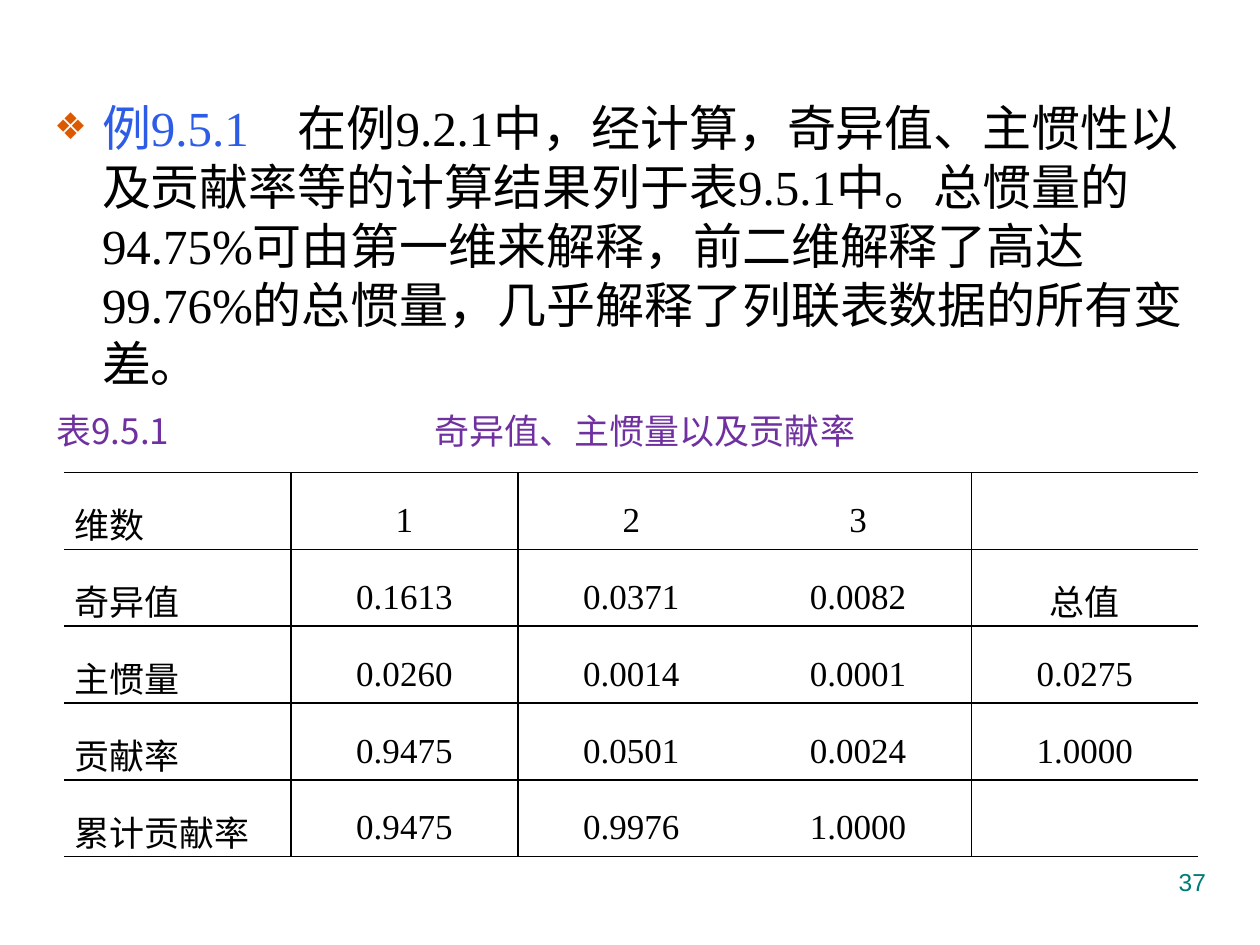
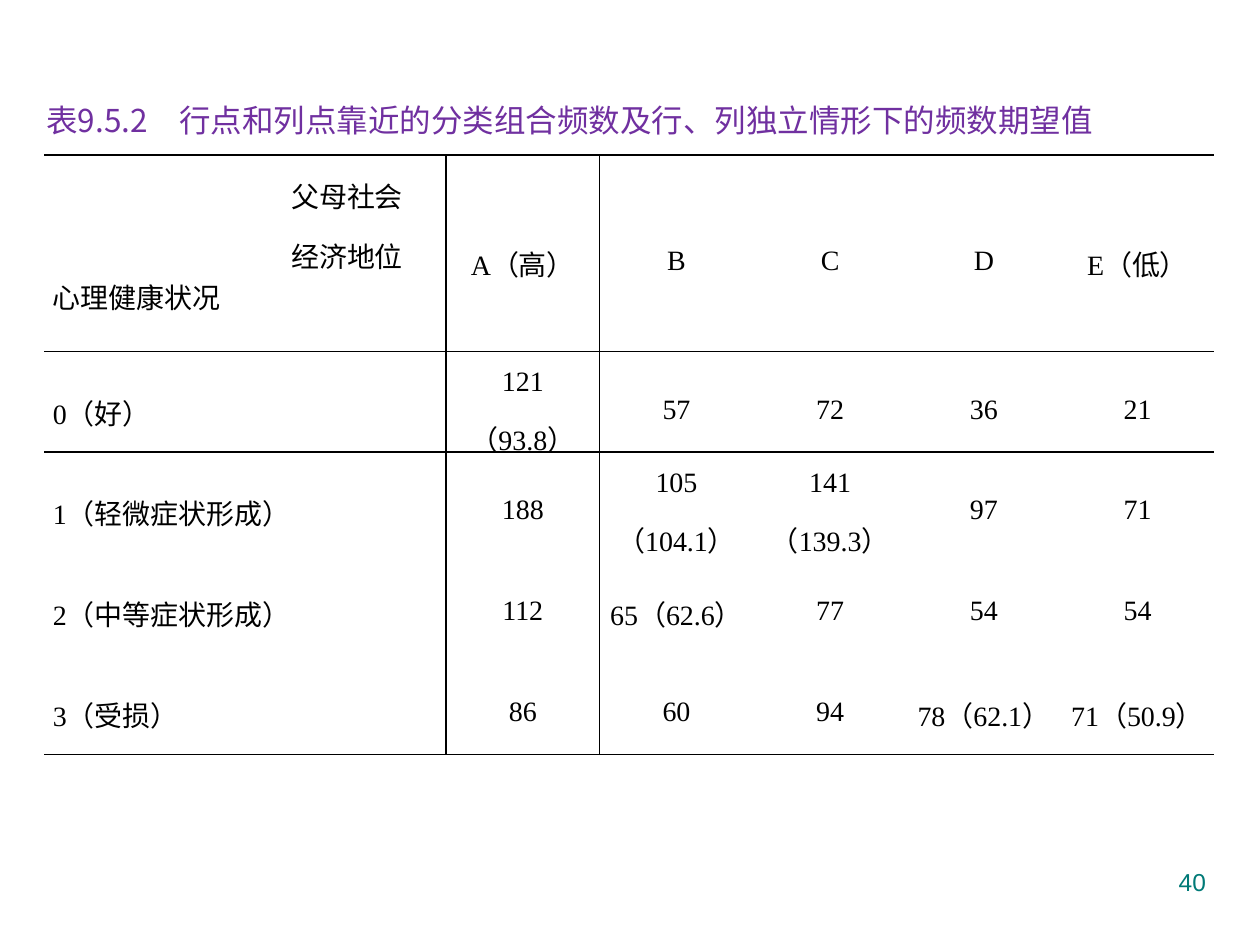
from lxml.etree import SubElement
from pptx import Presentation
from pptx.dml.color import RGBColor
from pptx.enum.text import MSO_ANCHOR, MSO_AUTO_SIZE, PP_ALIGN
from pptx.oxml import parse_xml
from pptx.oxml.ns import nsdecls, qn
from pptx.util import Inches, Pt

BLACK, BLUE, PURPLE, TEAL, ORANGE = "000000", "2D5CE7", "7030A0", "007A77", "DC5900"
SERIF, CJK, SANS = "Times New Roman", "Noto Sans CJK SC", "Arial"
NO_STYLE = "{2D5ABB26-0587-4C30-8999-92F81FD0307C}"


def write(p, text, size, font=SERIF, color=BLACK, align=None, spacing=None):
    r = p.add_run()
    r.text = text
    r.font.size = Pt(size)
    r.font.name = font
    r.font.color.rgb = RGBColor.from_string(color)
    SubElement(r.font._element, qn("a:ea")).set("typeface", CJK)
    if align is not None:
        p.alignment = align
    if spacing is not None:
        p.line_spacing = spacing


def add_grid(slide, x, y, widths, row_height, rows, size, inset, h_lines, v_lines, merges=()):
    """Add a table ruled at the given row and column boundaries; merges are corner pairs."""
    frame = slide.shapes.add_table(len(rows), len(widths), Inches(x), Inches(y),
                                   Inches(sum(widths)), Inches(row_height * len(rows)))
    table = frame.table
    table.first_row = table.horz_banding = False
    table._tbl.tblPr.find(qn("a:tableStyleId")).text = NO_STYLE
    for column, width in zip(table.columns, widths):
        column.width = Inches(width)
    for row in table.rows:
        row.height = Inches(row_height)
    for first, last in merges:
        table.cell(*first).merge(table.cell(*last))
    for i, values in enumerate(rows):
        for j, value in enumerate(values):
            cell = table.cell(i, j)
            cell.margin_left = cell.margin_right = Inches(inset)
            cell.margin_top = cell.margin_bottom = 0
            cell.vertical_anchor = MSO_ANCHOR.MIDDLE
            cell.fill.background()
            sides = {"L": j in v_lines, "R": j + cell.span_width in v_lines,
                     "T": i in h_lines, "B": i + cell.span_height in h_lines}
            ruled = [side for side in sides if sides[side]]
            for k, side in enumerate(ruled):
                cell._tc.get_or_add_tcPr().insert(k, parse_xml(
                    f'<a:ln{side} {nsdecls("a")} w="12700"><a:solidFill>'
                    f'<a:srgbClr val="{BLACK}"/></a:solidFill></a:ln{side}>'))
            if not value:
                continue
            align = PP_ALIGN.CENTER if j else PP_ALIGN.JUSTIFY
            for k, line in enumerate(value.split("\n")):
                p = cell.text_frame.add_paragraph() if k else cell.text_frame.paragraphs[0]
                write(p, line, size, align=align, spacing=1.5)
    return table


prs = Presentation()
prs.slide_width, prs.slide_height = Inches(10), Inches(7.5)

# Example and singular values
example = prs.slides.add_slide(prs.slide_layouts[1])
title = example.shapes.title._element
title.getparent().remove(title)
body = example.placeholders[1]
body.left, body.top, body.width, body.height = map(Inches, (0.33, 0.72, 9.34, 5.95))
body.text_frame.auto_size = MSO_AUTO_SIZE.NONE
p = body.text_frame.paragraphs[0]
write(p, "例9.5.1", 28, color=BLUE, spacing=Pt(33.7))
write(p, "　在例9.2.1中，经计算，奇异值、主惯性以及贡献率等的计算结果列于表9.5.1中。"
         "总惯量的94.75%可由第一维来解释，前二维解释了高达99.76%的总惯量，"
         "几乎解释了列联表数据的所有变差。", 28)
pPr = p._p.get_or_add_pPr()
pPr.set("marL", str(Inches(0.38)))
pPr.set("indent", str(-Inches(0.38)))
SubElement(SubElement(pPr, qn("a:buClr")), qn("a:srgbClr")).set("val", ORANGE)
SubElement(pPr, qn("a:buSzPct")).set("val", "75000")
SubElement(pPr, qn("a:buChar")).set("char", "❖")

singular_values = [
    ["维数", "1", "2", "3", ""],
    ["奇异值", "0.1613", "0.0371", "0.0082", "总值"],
    ["主惯量", "0.0260", "0.0014", "0.0001", "0.0275"],
    ["贡献率", "0.9475", "0.0501", "0.0024", "1.0000"],
    ["累计贡献率", "0.9475", "0.9976", "1.0000", ""],
]
add_grid(example, 0.51, 3.75, [1.8] * 5, 0.61, singular_values, 20, 0.08,
         h_lines=range(6), v_lines=(1, 4))

# Observed and expected frequencies
frequencies = prs.slides.add_slide(prs.slide_layouts[6])
counts = [
    ["", "父母社会\n经济地位", "A（高）", "B", "C", "D", "E（低）"],
    ["心理健康状况", "", "", "", "", "", ""],
    ["0（好）", "", "121（93.8）", "57", "72", "36", "21"],
    ["1（轻微症状形成）", "", "188", "105（104.1）", "141（139.3）", "97", "71"],
    ["2（中等症状形成）", "", "112", "65（62.6）", "77", "54", "54"],
    ["3（受损）", "", "86", "60", "94", "78（62.1）", "71（50.9）"],
]
merges = [((0, j), (1, j)) for j in range(2, 7)] + [((i, 0), (i, 1)) for i in range(2, 6)]
table = add_grid(frequencies, 0.35, 1.23, [1.62, 1.57] + [1.22] * 5, 0.76, counts, 16, 0.07,
                 h_lines=(0, 2, 6), v_lines=(2,), merges=merges)
for position in ((0, 1), (1, 0)):
    table.cell(*position).vertical_anchor = MSO_ANCHOR.TOP

# Captions and page numbers
for slide, box, caption, size, number in (
    (example, (0.35, 3.2, 6.74, 0.44), "表9.5.1\t奇异值、主惯量以及贡献率", 20, "37"),
    (frequencies, (0.27, 0.75, 8.79, 0.4),
     "表9.5.2　行点和列点靠近的分类组合频数及行、列独立情形下的频数期望值", 18, "40"),
):
    tf = slide.shapes.add_textbox(*map(Inches, box)).text_frame
    tf.word_wrap = True
    tf.vertical_anchor = MSO_ANCHOR.MIDDLE
    p = tf.paragraphs[0]
    write(p, caption, size, font=CJK, color=PURPLE)
    tabs = SubElement(p._p.get_or_add_pPr(), qn("a:tabLst"))
    SubElement(tabs, qn("a:tab"), pos=str(Inches(3)), algn="l")

    tf = slide.shapes.add_textbox(*map(Inches, (7.17, 6.83, 2.5, 0.52))).text_frame
    tf.word_wrap = True
    write(tf.paragraphs[0], number, 14, font=SANS, color=TEAL, align=PP_ALIGN.RIGHT)

prs.save("out.pptx")
